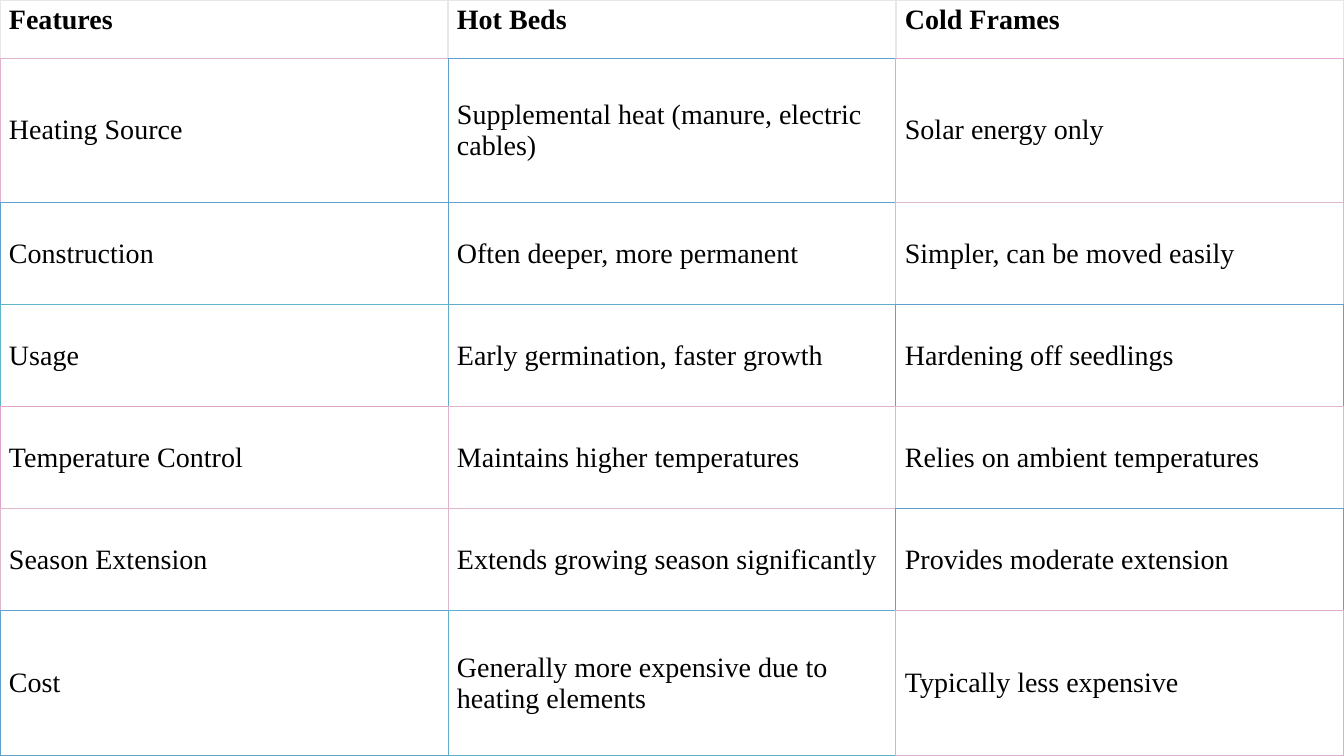
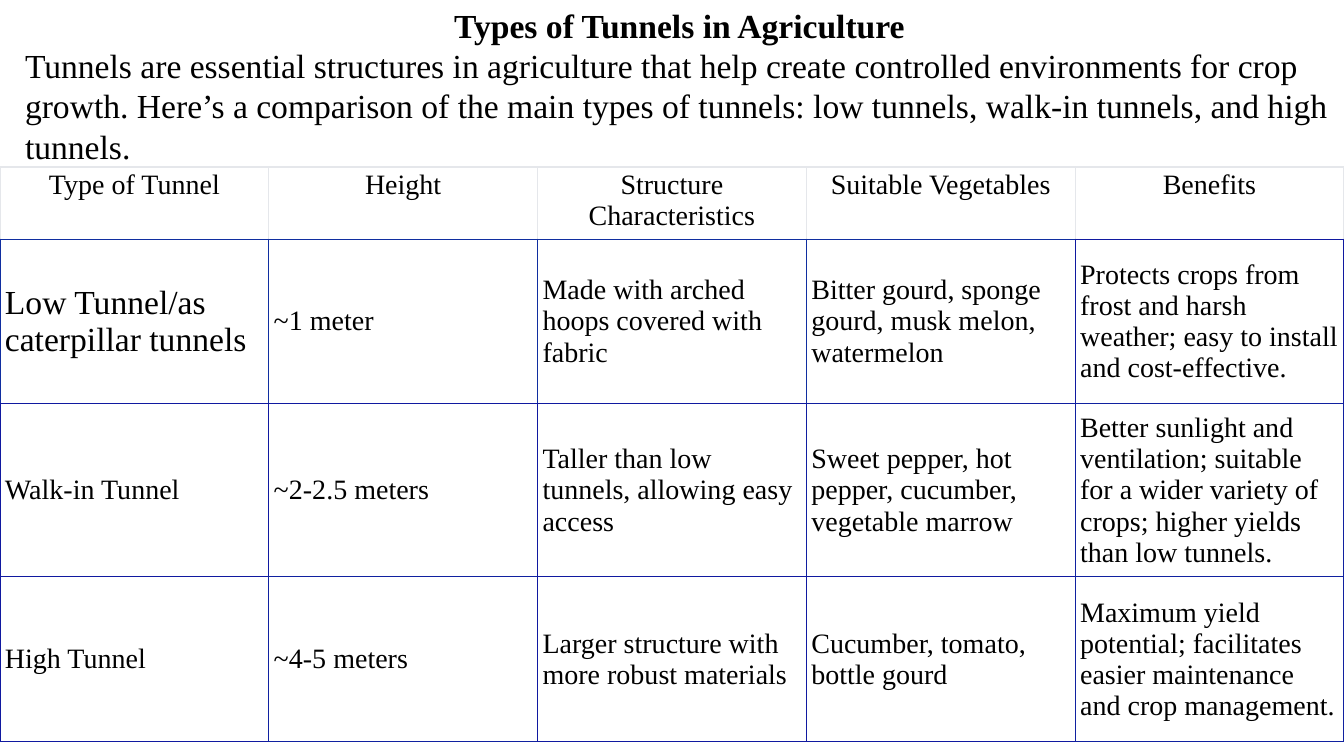
from dataclasses import dataclass

from lxml.etree import SubElement
from pptx import Presentation
from pptx.dml.color import RGBColor
from pptx.enum.text import MSO_ANCHOR, MSO_AUTO_SIZE, PP_ALIGN
from pptx.oxml.ns import qn
from pptx.util import Pt


@dataclass(frozen=True)
class Theme:
    """Colours, type sizes and line widths shared by the slides."""
    font: str = "Times New Roman"
    ink: str = "000000"
    header_line: str = "E5E7EB"
    heading_size: int = 24
    table_size: int = 20
    heading_spacing: float = 1.0
    header_width: float = 1
    body_width: float = 0.75


THEME = Theme()
SLIDE_WIDTH, SLIDE_HEIGHT = 1344, 756

FRAME_ROWS = [
    ["Features", "Hot Beds", "Cold Frames"],
    ["Heating Source", "Supplemental heat (manure, electric cables)", "Solar energy only"],
    ["Construction", "Often deeper, more permanent", "Simpler, can be moved easily"],
    ["Usage", "Early germination, faster growth", "Hardening off seedlings"],
    ["Temperature Control", "Maintains higher temperatures", "Relies on ambient temperatures"],
    ["Season Extension", "Extends growing season significantly", "Provides moderate extension"],
    ["Cost", "Generally more expensive due to heating elements", "Typically less expensive"],
]
FRAME_LINES = [
    [THEME.header_line] * 3,
    ["E0B2CC", "60A2CC", "E0A6CC"],
    ["60A2CC", "60A2CC", "E0B6CC"],
    ["60B4CC", "60ACCC", "60A2CC"],
    ["E0A3CC", "E0B2CC", "E0B6CC"],
    ["E0B6CC", "E0B6CC", "60A2CC"],
    ["60A2CC", "60ADCC", "E0AECC"],
]

TUNNEL_TITLE = "Types of Tunnels in Agriculture"
TUNNEL_INTRO = (
    "Tunnels are essential structures in agriculture that help create controlled "
    "environments for crop growth. Here’s a comparison of the main types of tunnels: "
    "low tunnels, walk-in tunnels, and high tunnels."
)
TUNNEL_ROWS = [
    ["Type of Tunnel", "Height", "Structure Characteristics", "Suitable Vegetables", "Benefits"],
    ["Low Tunnel/as caterpillar tunnels", "~1 meter",
     "Made with arched hoops covered with fabric",
     "Bitter gourd, sponge gourd, musk melon, watermelon",
     "Protects crops from frost and harsh weather; easy to install and cost-effective."],
    ["Walk-in Tunnel", "~2-2.5 meters",
     "Taller than low tunnels, allowing easy access",
     "Sweet pepper, hot pepper, cucumber, vegetable marrow",
     "Better sunlight and ventilation; suitable for a wider variety of crops; "
     "higher yields than low tunnels."],
    ["High Tunnel", "~4-5 meters",
     "Larger structure with more robust materials",
     "Cucumber, tomato, bottle gourd",
     "Maximum yield potential; facilitates easier maintenance and crop management."],
]
TUNNEL_LINES = [
    [THEME.header_line] * 5,
    ["102EA0"] * 4 + ["1019A0"],
    ["1019A0"] * 3 + ["101EA0", "1021A0"],
    ["1019A0", "1021A0", "1019A0", "1019A0", "1021A0"],
]


def px(length):
    """Turn a length in px into EMU."""
    return round(length * 914400 / 100.8)


def set_format(target, values):
    """Set each attribute named in a dict of format values."""
    for name, value in values.items():
        setattr(target, name, value)


def write(frame, text, size, bold=False, **paragraph_format):
    """Fill a text frame with one formatted paragraph."""
    paragraph = frame.paragraphs[0]
    run = paragraph.add_run()
    run.text = text
    set_format(paragraph, paragraph_format)
    set_format(run.font, {"name": THEME.font, "size": Pt(size), "bold": bold})
    run.font.color.rgb = RGBColor.from_string(THEME.ink)


def draw_border(cell, side, colour, width):
    """Add a solid line to one side of a cell."""
    line = SubElement(cell._tc.get_or_add_tcPr(), qn(f"a:ln{side}"), w=str(Pt(width)))
    SubElement(SubElement(line, qn("a:solidFill")), qn("a:srgbClr"), val=colour)
    SubElement(line, qn("a:prstDash"), val="solid")


def add_comparison(slide, box, heights, rows, lines, margins,
                   header_format, large_cells=()):
    """Place a comparison table whose cells share borders with their neighbours."""
    row_count, column_count = len(rows), len(rows[0])
    table = slide.shapes.add_table(row_count, column_count, *map(px, box)).table
    set_format(table, {"first_row": False, "horz_banding": False})
    for column in table.columns:
        column.width = px(box[2] / column_count)
    for row, row_height in zip(table.rows, heights):
        row.height = px(row_height)
    side_margin, end_margin = map(px, margins)
    for r, texts in enumerate(rows):
        header = r == 0
        line_width = THEME.header_width if header else THEME.body_width
        below = min(r + 1, row_count - 1)
        for c, text in enumerate(texts):
            cell = table.cell(r, c)
            set_format(cell, {
                "margin_left": side_margin, "margin_right": side_margin,
                "margin_top": end_margin, "margin_bottom": end_margin,
                "vertical_anchor": MSO_ANCHOR.TOP if header else MSO_ANCHOR.MIDDLE,
            })
            size = THEME.heading_size if (r, c) in large_cells else THEME.table_size
            write(cell.text_frame, text, size, **(header_format if header else {}))
            right = min(c + 1, column_count - 1)
            draw_border(cell, "L", lines[r][c], line_width)
            draw_border(cell, "R", lines[r][right], line_width)
            draw_border(cell, "T", lines[r][c], line_width)
            draw_border(cell, "B", lines[below][c], THEME.body_width)
            cell.fill.background()


def place_heading(placeholder, box, text, bold, alignment):
    """Move a title or body placeholder into a box and write its plain text."""
    set_format(placeholder, dict(zip(("left", "top", "width", "height"), map(px, box))))
    frame = placeholder.text_frame
    set_format(frame, {
        "word_wrap": True, "auto_size": MSO_AUTO_SIZE.NONE,
        "vertical_anchor": MSO_ANCHOR.TOP,
        "margin_left": px(10), "margin_right": px(10),
        "margin_top": px(5), "margin_bottom": 0,
    })
    properties = frame.paragraphs[0]._p.get_or_add_pPr()
    properties.set("marL", "0")
    properties.set("indent", "0")
    SubElement(properties, qn("a:buNone"))
    write(frame, text, THEME.heading_size, bold, alignment=alignment,
          line_spacing=THEME.heading_spacing, space_before=Pt(0))


def add_introduction(slide, box):
    """Place the tunnel title and the introduction under it."""
    left, top, width, height = box
    title_height = 40
    place_heading(slide.shapes.title, (left, top, width, title_height + 5),
                  TUNNEL_TITLE, True, PP_ALIGN.CENTER)
    place_heading(slide.placeholders[1],
                  (left, top + title_height, width, height - title_height),
                  TUNNEL_INTRO, False, PP_ALIGN.LEFT)


def build_frames_slide(deck):
    """Compare hot beds with cold frames on a full-slide table."""
    slide = deck.slides.add_slide(deck.slide_layouts[6])
    add_comparison(slide, (0, 0, SLIDE_WIDTH, SLIDE_HEIGHT),
                   [58, 145, 102, 102, 102, 102, 145],
                   FRAME_ROWS, FRAME_LINES, (9, 4), {"bold": True})


def build_tunnels_slide(deck):
    """Introduce and compare the types of tunnels."""
    slide = deck.slides.add_slide(deck.slide_layouts[1])
    add_introduction(slide, (15, 0, SLIDE_WIDTH - 15, 167))
    add_comparison(slide, (0, 167, SLIDE_WIDTH, 575), [72, 165, 173, 165],
                   TUNNEL_ROWS, TUNNEL_LINES, (5, 2),
                   {"alignment": PP_ALIGN.CENTER}, large_cells={(1, 0)})


def main():
    """Build and save the deck."""
    deck = Presentation()
    set_format(deck, {"slide_width": px(SLIDE_WIDTH), "slide_height": px(SLIDE_HEIGHT)})
    build_frames_slide(deck)
    build_tunnels_slide(deck)
    deck.save("out.pptx")


if __name__ == "__main__":
    main()
